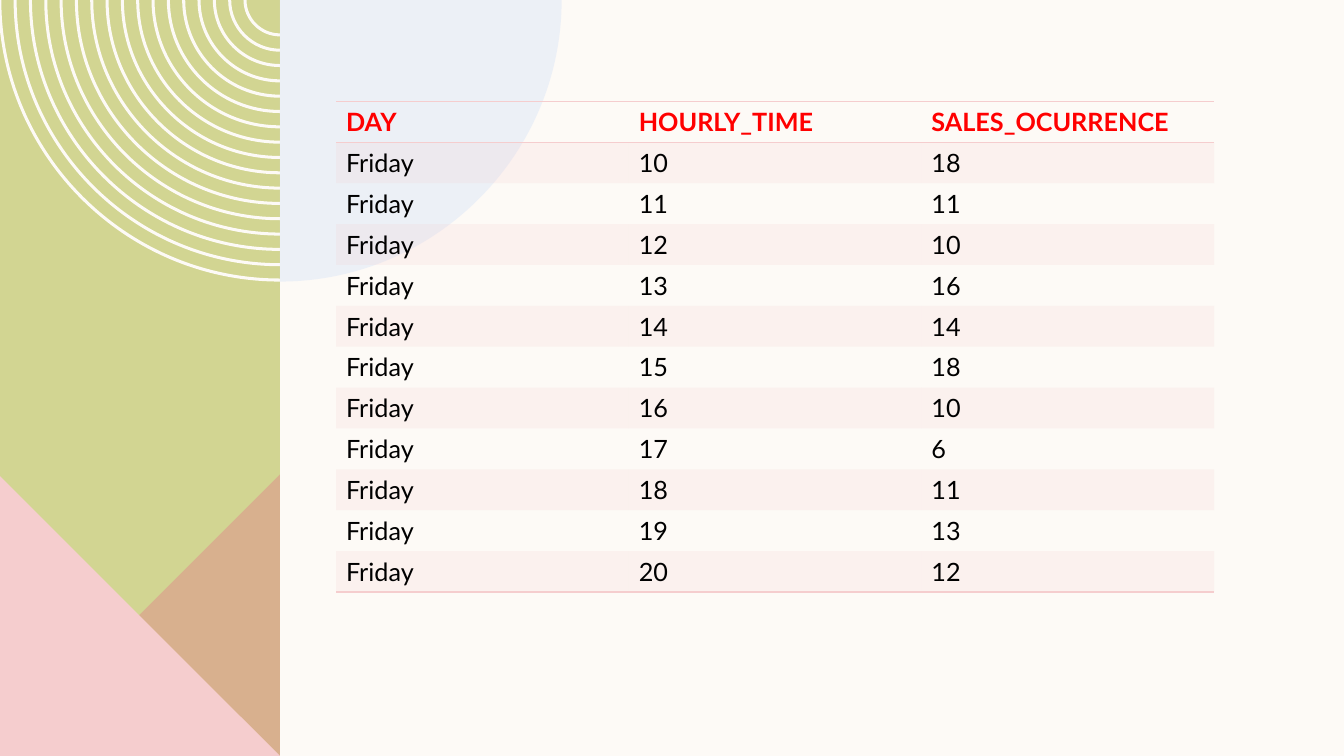
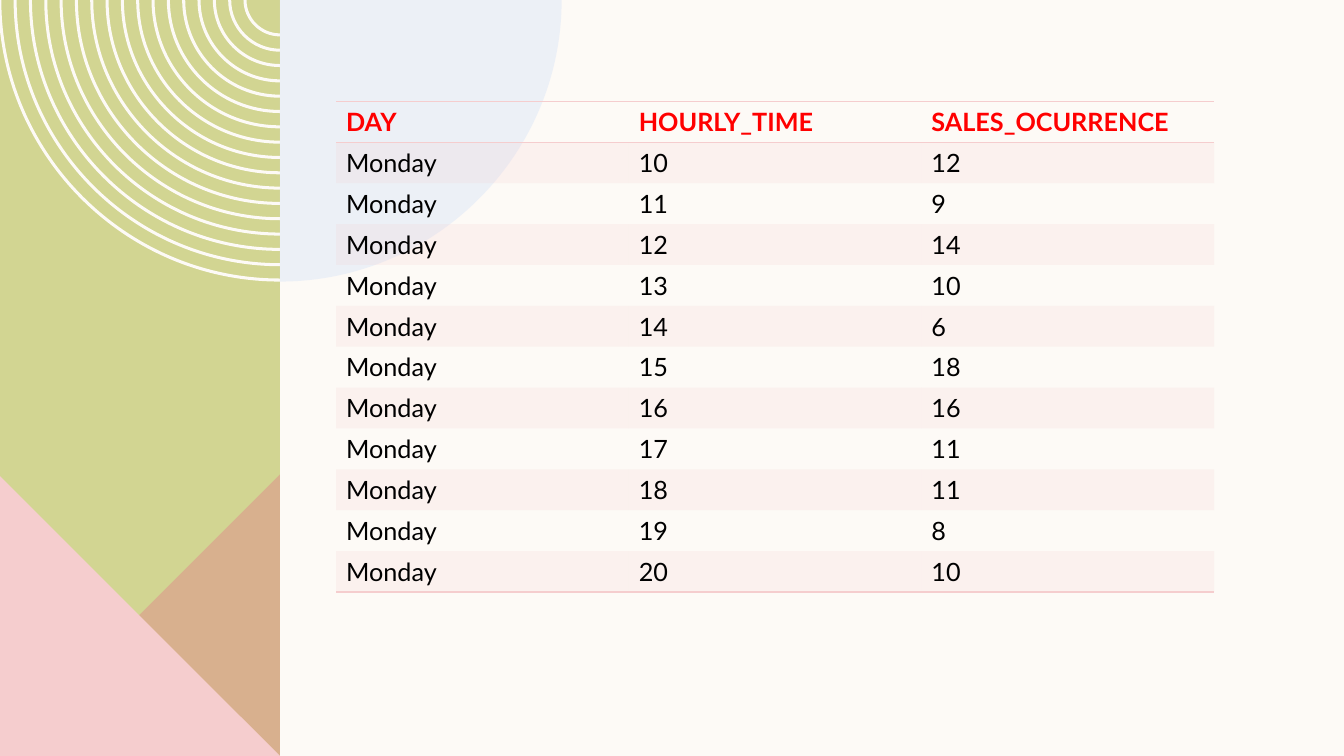
from dataclasses import dataclass
from itertools import pairwise

from lxml.etree import SubElement as add_child
from pptx import Presentation
from pptx.dml.color import RGBColor as Rgb
from pptx.enum.text import MSO_ANCHOR as Anchor
from pptx.oxml.ns import qn
from pptx.util import Inches, Pt

COLORS = {
    "cream": "FDFAF6",
    "green": "D2D592",
    "rose": "DE8C8C",
    "pink": "F5CDCE",
    "blue": "DDE7F6",
    "red": "FF0000",
    "black": "000000",
}
FONT = "Lato"
NO_STYLE = "{2D5ABB26-0587-4C30-8999-92F81FD0307C}"

# Grid of 24 columns by 24 rows, in inches
WIDTH, HEIGHT = 13.33, 7.5
COLUMN, ROW = WIDTH / 24, HEIGHT / 24
PANEL = 5 * COLUMN
RADIUS = 5.03 * COLUMN
RING_COUNT, RING_STEP, RING_WIDTH = 17, 0.152, 0.03
ARC_PULL = 0.55

HEADERS = ("DAY", "HOURLY_TIME", "SALES_OCURRENCE")
FIRST_HOUR = 10

Point = tuple[float, float]


@dataclass(frozen=True)
class DaySales:
    day: str
    sales: tuple[int, ...]


@dataclass(frozen=True)
class Decoration:
    contours: list[list[Point]]
    color: str
    opacity: int = 100
    rounded: bool = False


DAYS = (
    DaySales("Friday", (18, 11, 10, 16, 14, 18, 10, 6, 11, 13, 12)),
    DaySales("Monday", (12, 9, 14, 10, 6, 18, 16, 11, 11, 8, 10)),
)


def ring(index: int) -> list[Point]:
    outer = RADIUS - index * RING_STEP
    inner = outer - RING_WIDTH
    start = (PANEL - outer, 0)
    return [start, (PANEL - inner, 0), (PANEL, inner), (PANEL, outer), start]


TRIANGLE_TOP = HEIGHT - RADIUS
PANEL_LEFT = PANEL - RADIUS
DECORATIONS = (
    Decoration([[(PANEL_LEFT, 0), (PANEL, 0), (PANEL, HEIGHT), (PANEL_LEFT, HEIGHT)]], "green"),
    Decoration([ring(index) for index in range(RING_COUNT)], "cream", rounded=True),
    Decoration([[(PANEL, TRIANGLE_TOP), (PANEL, HEIGHT), (PANEL_LEFT, HEIGHT)]], "rose", 50),
    Decoration([[(PANEL_LEFT, TRIANGLE_TOP), (PANEL, HEIGHT), (PANEL_LEFT, HEIGHT)]], "pink"),
    Decoration([[(PANEL, 0), (PANEL + RADIUS, 0), (PANEL, RADIUS)]], "blue", 50, True),
)


def fill_solid(fill, element, color: str, opacity: int = 100) -> None:
    fill.solid()
    fill.fore_color.rgb = Rgb.from_string(COLORS[color])
    if opacity < 100:
        solid = next(element.iter(qn("a:solidFill")))
        add_child(solid[0], qn("a:alpha"), val=str(opacity * 1000))


def round_diagonals(shape) -> None:
    """Turn each slanted line into a quarter arc bulging down and outwards."""
    for start, end in pairwise(list(shape.element.iter(qn("a:pt")))):
        segment = end.getparent()
        ends = [(int(point.get("x")), int(point.get("y"))) for point in (start, end)]
        (x1, y1), (x2, y2) = ends
        if segment.tag != qn("a:lnTo") or x1 == x2 or y1 == y2:
            continue
        corner_x, corner_y = (x1 if y1 < y2 else x2), max(y1, y2)
        for position, (x, y) in enumerate(ends):
            control = segment.makeelement(qn("a:pt"))
            control.set("x", str(round(x + ARC_PULL * (corner_x - x))))
            control.set("y", str(round(y + ARC_PULL * (corner_y - y))))
            segment.insert(position, control)
        segment.tag = qn("a:cubicBezTo")


def draw_decoration(slide, decoration: Decoration) -> None:
    contours = [[(Inches(x), Inches(y)) for x, y in contour] for contour in decoration.contours]
    builder = slide.shapes.build_freeform(*contours[0][0])
    for index, (first, *others) in enumerate(contours):
        if index:
            builder.move_to(*first)
        builder.add_line_segments(others, close=True)
    shape = builder.convert_to_shape()
    if decoration.rounded:
        round_diagonals(shape)
    shape.shadow.inherit = False
    fill_solid(shape.fill, shape.element, decoration.color, decoration.opacity)
    shape.line.fill.background()


def add_border(cell, side: str) -> None:
    line = add_child(cell._tc.get_or_add_tcPr(), qn(f"a:ln{side}"), w=str(Pt(1)))
    solid = add_child(line, qn("a:solidFill"))
    add_child(solid, qn("a:srgbClr"), val=COLORS["pink"])


def format_cell(cell, text: str, row: int, last_row: int) -> None:
    is_header = row == 0
    cell.text_frame.text = text
    cell.vertical_anchor = Anchor.TOP if is_header else Anchor.MIDDLE
    font = cell.text_frame.paragraphs[0].runs[0].font
    font.name, font.size, font.bold = FONT, Pt(18), is_header
    font.color.rgb = Rgb.from_string(COLORS["red" if is_header else "black"])
    # Odd rows are tinted
    if row % 2:
        fill_solid(cell.fill, cell._tc.tcPr, "pink", 20)
    else:
        cell.fill.background()
    # Borders precede the fill in the cell properties
    properties = cell._tc.get_or_add_tcPr()
    fill_element = properties[0]
    if is_header:
        add_border(cell, "T")
    if row in (0, last_row):
        add_border(cell, "B")
    properties.append(fill_element)


def draw_table(slide, data: DaySales) -> None:
    hours = enumerate(data.sales, FIRST_HOUR)
    rows = [HEADERS] + [(data.day, str(hour), str(sales)) for hour, sales in hours]
    frame = slide.shapes.add_table(
        len(rows), len(HEADERS),
        Inches(6 * COLUMN), Inches(3.22 * ROW), Inches(15.68 * COLUMN), Inches(15.58 * ROW),
    )
    table = frame.table
    table.first_row = table.horz_banding = False
    next(frame.element.iter(qn("a:tableStyleId"))).text = NO_STYLE
    for row, texts in enumerate(rows):
        for column, text in enumerate(texts):
            format_cell(table.cell(row, column), text, row, len(rows) - 1)


def main() -> None:
    presentation = Presentation()
    presentation.slide_width, presentation.slide_height = Inches(WIDTH), Inches(HEIGHT)
    # Shared background
    background = presentation.slide_master.background.fill
    background.solid()
    background.fore_color.rgb = Rgb.from_string(COLORS["cream"])
    # One slide for each day
    for data in DAYS:
        slide = presentation.slides.add_slide(presentation.slide_layouts[6])
        for decoration in DECORATIONS:
            draw_decoration(slide, decoration)
        draw_table(slide, data)
    presentation.save("out.pptx")


if __name__ == "__main__":
    main()
